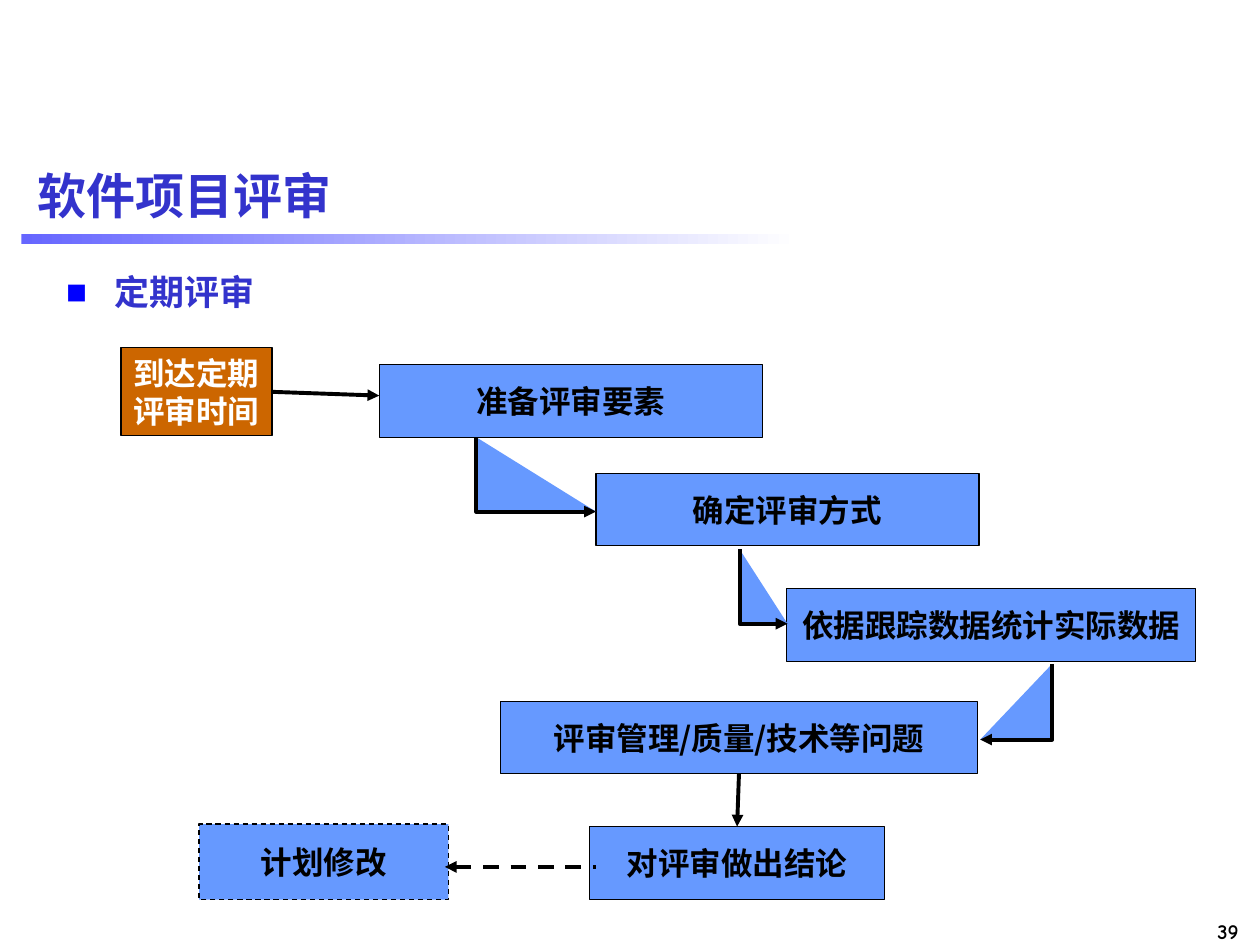
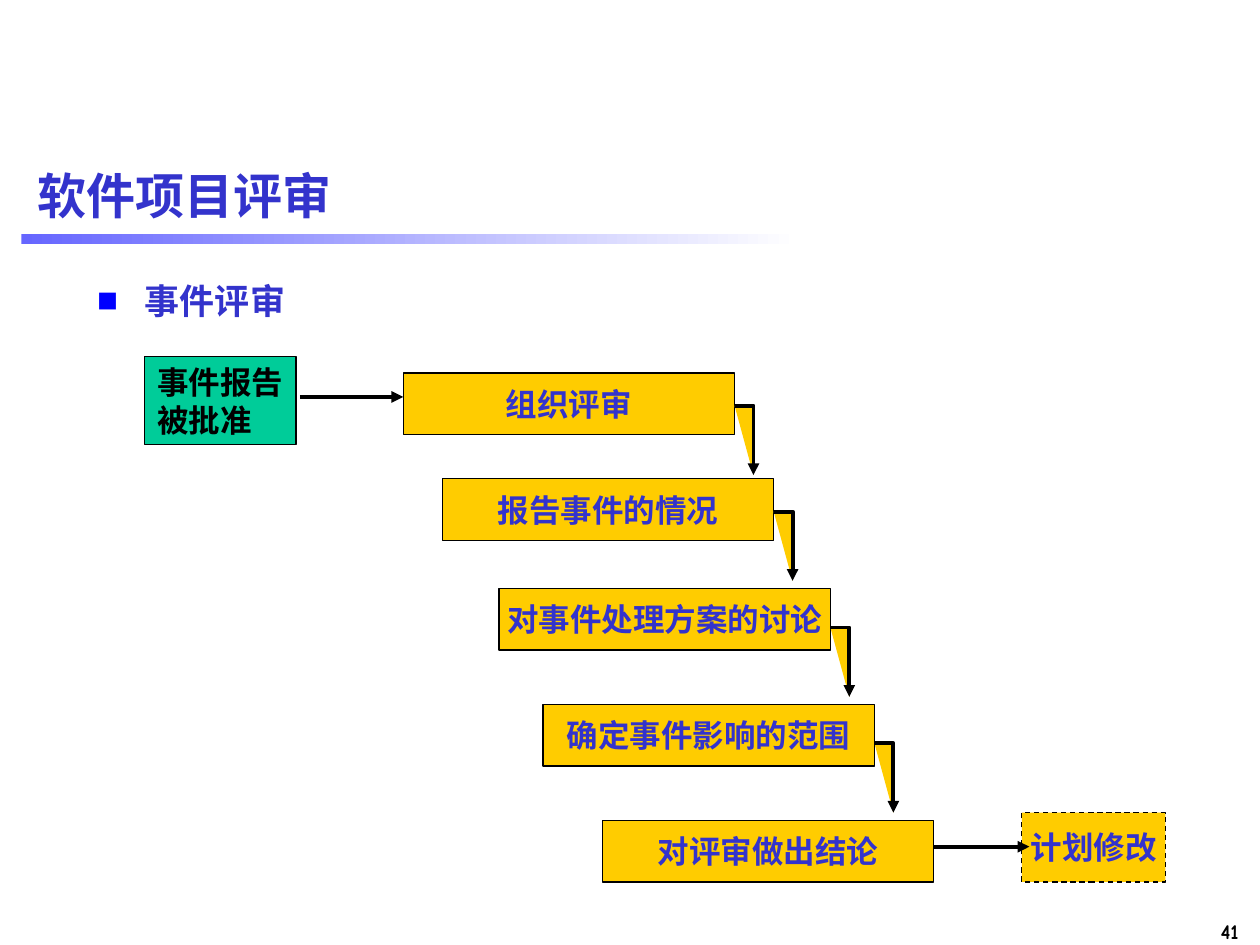
"""Build two slides on periodic and event-driven software project reviews."""
from lxml import etree
from pptx import Presentation
from pptx.dml.color import RGBColor
from pptx.enum.dml import MSO_LINE_DASH_STYLE as Dash
from pptx.enum.shapes import MSO_CONNECTOR as Connector, MSO_SHAPE as Shape
from pptx.enum.text import MSO_ANCHOR as Anchor, MSO_AUTO_SIZE as AutoSize, PP_ALIGN as Align
from pptx.oxml.ns import qn
from pptx.util import Inches, Pt

CJK = "Noto Sans CJK SC"
INDIGO, BLACK, WHITE = "3333CC", "000000", "FFFFFF"
BAND_COLORS = ("6666FF", WHITE)
BULLET = {"color": "0000FF", "char": "■", "percent": "60000"}
TITLE = "软件项目评审"
TITLE_AREA = (0.2, 1.15, 9.61, 0.79)
BAND_AREA = (0.17, 1.86, 6.17, 0.08)
NUMBER_AREA = (9.01, 7.24, 0.92, 0.3)
TRIGGER_SIZE = (1.2, 0.7)
LINE_RATIO = 1.2

EVENT_SIZE = (2.63, 0.49)
EVENT_STEPS = [
    ("组织评审", 3.2, 2.96),
    ("报告事件的情况", 3.51, 3.8),
    ("对事件处理方案的讨论", 3.96, 4.67),
    ("确定事件影响的范围", 4.31, 5.59),
    ("对评审做出结论", 4.78, 6.51),
]
EVENT_BEND = (0.15, 0.55)
EVENT_EXITS = (0.26, 0.26, 0.31, 0.31)

PERIODIC = {
    "number": "39",
    "heading": "定期评审",
    "body": (0.43, 2.1, 9.18, 5.4),
    "font": CJK,
    "fill": "6699FF",
    "ink": BLACK,
    "trigger": (["到达定期", "评审时间"], (0.96, 2.76), "CC6600", WHITE),
    "steps": [
        ("准备评审要素", (3.01, 2.89, 3.04, 0.58)),
        ("确定评审方式", (4.73, 3.76, 3.04, 0.57)),
        ("依据跟踪数据统计实际数据", (6.24, 4.67, 3.25, 0.58)),
        ("评审管理/质量/技术等问题", (3.97, 5.57, 3.79, 0.57)),
        ("对评审做出结论", (4.68, 6.56, 2.34, 0.58)),
    ],
    "revision": ("计划修改", (1.58, 6.54, 1.98, 0.6)),
    "arrows": [
        {"points": (2.16, 3.11, 3.01, 3.14), "begin": ("trigger", 3)},
        {"points": (3.53, 6.88, 4.73, 6.88), "dash": Dash.DASH, "tip": "headEnd"},
        {"points": (5.87, 6.14, 5.87, 6.54), "begin": (3, 2), "end": (4, 0)},
    ],
    "bends": [
        [(3.78, 3.47), (3.78, 4.06), (4.73, 4.06)],
        [(5.87, 4.36), (5.87, 4.95), (6.25, 4.95)],
        [(8.35, 5.27), (8.35, 5.87), (7.78, 5.87)],
    ],
}


def event_bends():
    """Return the elbow leaving the right side of each step but the last."""
    across, down = EVENT_BEND
    bends = []
    for (_, left, top), drop in zip(EVENT_STEPS, EVENT_EXITS):
        x, y = left + EVENT_SIZE[0], top + drop
        bends.append([(x, y), (x + across, y), (x + across, y + down)])
    return bends


EVENT = {
    "number": "41",
    "heading": "事件评审",
    "body": (0.67, 2.17, 9.14, 5.32),
    "font": "Times New Roman",
    "fill": "FFCC00",
    "ink": INDIGO,
    "trigger": (["事件报告", "被批准"], (1.15, 2.83), "00CC99", BLACK),
    "steps": [(text, (left, top, *EVENT_SIZE)) for text, left, top in EVENT_STEPS],
    "revision": ("计划修改", (8.11, 6.45, 1.14, 0.55)),
    "arrows": [
        {"points": (2.38, 3.15, 3.2, 3.15)},
        {"points": (7.41, 6.72, 8.17, 6.72)},
    ],
    "bends": event_bends(),
}


def color(hex_code):
    """Return a colour from its hex string."""
    return RGBColor.from_string(hex_code)


def inches(values):
    """Return a list of lengths in inches."""
    return [Inches(value) for value in values]


def assign(target, values):
    """Set each named attribute on the target."""
    for name, value in values.items():
        setattr(target, name, value)


def place(part, area):
    """Move and size a part."""
    assign(part, dict(zip(("left", "top", "width", "height"), inches(area))))


def write(part, lines, face, size, ink, align, anchor=Anchor.MIDDLE, wrap=False, exact=False):
    """Fill a part with bold lines of one style."""
    frame = part.text_frame
    assign(frame, {"text": "\n".join(lines), "auto_size": AutoSize.NONE,
                   "word_wrap": wrap, "vertical_anchor": anchor})
    for paragraph in frame.paragraphs:
        assign(paragraph, {"alignment": align, "space_before": Pt(0)})
        if exact:
            paragraph.line_spacing = Pt(size * LINE_RATIO)
        for run in paragraph.runs:
            assign(run.font, {"name": face, "size": Pt(size), "bold": True})
            run.font.color.rgb = color(ink)
            etree.SubElement(run.font._element, qn("a:ea"), typeface=CJK)


def paint(part, fill, width=0.75, dash=None):
    """Give a part a flat fill and a black outline without shadow."""
    part.shadow.inherit = False
    part.fill.solid()
    part.fill.fore_color.rgb = color(fill)
    part.line.color.rgb = color(BLACK)
    assign(part.line, {"width": Pt(width), "dash_style": dash})


def add_box(slide, lines, area, fill, dash=None, **style):
    """Draw a labelled rectangle."""
    box = slide.shapes.add_shape(Shape.RECTANGLE, *inches(area))
    paint(box, fill, dash=dash)
    write(box, lines, size=18, **style)
    return box


def add_tip(part, tip="tailEnd"):
    """Put a triangle at one end of a line."""
    etree.SubElement(part.line._get_or_add_ln(), qn(f"a:{tip}"), type="triangle")


def add_arrow(slide, boxes, points, begin=None, end=None, dash=None, tip="tailEnd"):
    """Draw a straight arrow, joined to boxes where asked."""
    arrow = slide.shapes.add_connector(Connector.STRAIGHT, *inches(points))
    if begin:
        arrow.begin_connect(boxes[begin[0]], begin[1])
    if end:
        arrow.end_connect(boxes[end[0]], end[1])
    arrow.line.color.rgb = color(BLACK)
    assign(arrow.line, {"width": Pt(2.25), "dash_style": dash})
    add_tip(arrow, tip)
    etree.SubElement(arrow._element.spPr, qn("a:effectLst"))


def add_bend(slide, points, fill):
    """Draw a filled elbow ending in an arrowhead."""
    start, *rest = [inches(point) for point in points]
    builder = slide.shapes.build_freeform(*start)
    builder.add_line_segments(rest, close=False)
    bend = builder.convert_to_shape()
    paint(bend, fill, 2.25)
    add_tip(bend)


def add_bullet(paragraph):
    """Add a hanging square bullet."""
    props = paragraph._p.get_or_add_pPr()
    props.set("marL", str(Inches(0.38)))
    props.set("indent", str(-Inches(0.38)))
    tint = etree.SubElement(props, qn("a:buClr"))
    etree.SubElement(tint, qn("a:srgbClr"), val=BULLET["color"])
    etree.SubElement(props, qn("a:buSzPct"), val=BULLET["percent"])
    etree.SubElement(props, qn("a:buFont"), typeface=CJK)
    etree.SubElement(props, qn("a:buChar"), char=BULLET["char"])


def add_frame(slide, review):
    """Add the number, band, title and heading shared by the slides."""
    number = slide.shapes.add_textbox(*inches(NUMBER_AREA))
    write(number, [review["number"]], "Comic Neue", 12, BLACK, Align.RIGHT, Anchor.TOP, True)

    band = slide.shapes.add_shape(Shape.RECTANGLE, *inches(BAND_AREA))
    band.shadow.inherit = False
    band.line.fill.background()
    band.fill.gradient()
    band.fill.gradient_angle = 0
    for stop, tint in zip(band.fill.gradient_stops, BAND_COLORS):
        stop.color.rgb = color(tint)

    title, body = slide.shapes.title, slide.placeholders[1]
    place(title, TITLE_AREA)
    write(title, [TITLE], "Arial", 28, INDIGO, Align.LEFT, wrap=True)
    place(body, review["body"])
    write(body, [review["heading"]], CJK, 20, INDIGO, Align.LEFT, Anchor.TOP, True, True)
    add_bullet(body.text_frame.paragraphs[0])


def add_review(deck, review):
    """Add one review slide with its flow chart."""
    slide = deck.slides.add_slide(deck.slide_layouts[1])
    add_frame(slide, review)
    fill = review["fill"]
    style = {"face": review["font"], "ink": review["ink"], "align": Align.CENTER}
    boxes = {index: add_box(slide, [text], area, fill, **style)
             for index, (text, area) in enumerate(review["steps"])}
    lines, corner, trigger_fill, trigger_ink = review["trigger"]
    boxes["trigger"] = add_box(slide, lines, (*corner, *TRIGGER_SIZE), trigger_fill,
                               face=review["font"], ink=trigger_ink,
                               align=Align.JUSTIFY, anchor=Anchor.TOP, exact=True)
    text, area = review["revision"]
    add_box(slide, [text], area, fill, Dash.DASH, **style)
    for arrow in review["arrows"]:
        add_arrow(slide, boxes, **arrow)
    for points in review["bends"]:
        add_bend(slide, points, fill)


def main():
    """Build and save the deck."""
    deck = Presentation()
    assign(deck, {"slide_width": Inches(10), "slide_height": Inches(7.5)})
    for review in (PERIODIC, EVENT):
        add_review(deck, review)
    deck.save("out.pptx")


if __name__ == "__main__":
    main()
